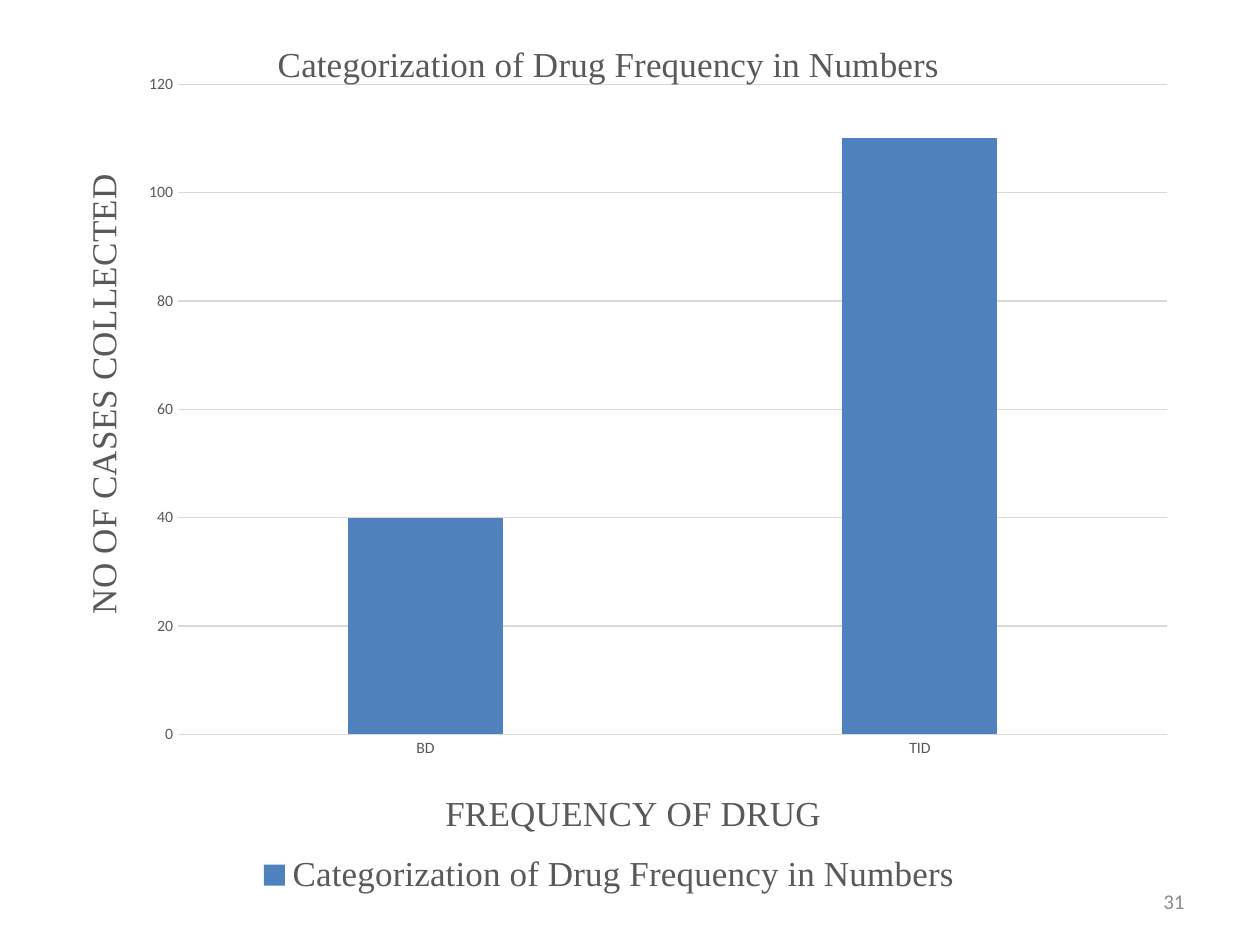
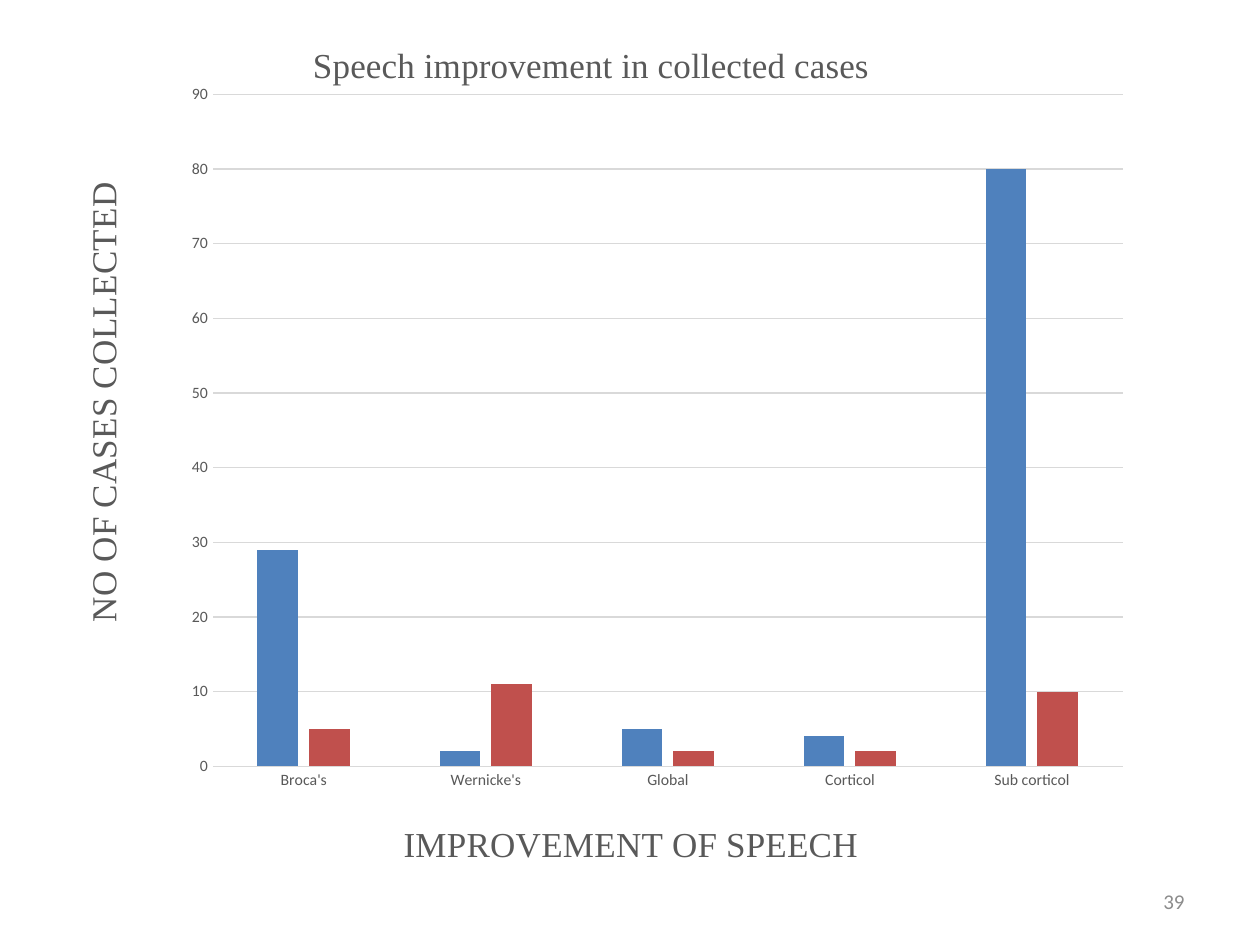
import pptx
import pptx.chart.data
import pptx.dml.color
import pptx.enum.chart
import pptx.enum.text
import pptx.oxml
import pptx.oxml.ns
import pptx.util
from dataclasses import dataclass

Cm, Pt = pptx.util.Cm, pptx.util.Pt
qn = pptx.oxml.ns.qn


@dataclass(frozen=True)
class Theme:
    serif: str = "Times New Roman"
    sans: str = "Calibri"
    text: str = "595959"
    grid: str = "D9D9D9"
    number: str = "8C8C8C"
    series: tuple = ("4F81BD", "C0504D")
    title_size: int = 20
    tick_size: int = 9
    number_size: int = 12


def rgb(value):
    return pptx.dml.color.RGBColor.from_string(value)


def layout_xml(frame, at, inner=False):
    """Manual layout for a place in cm on the slide, as shares of the chart frame."""
    left, top, width, height = frame
    shares = {"x": (at[0] - left) / width, "y": (at[1] - top) / height}
    if inner:
        shares.update(w=at[2] / width, h=at[3] / height)
    target = '<c:layoutTarget val="inner"/>' if inner else ""
    modes = '<c:xMode val="edge"/><c:yMode val="edge"/>'
    values = "".join(f'<c:{k} val="{v:.4f}"/>' for k, v in shares.items())
    return pptx.oxml.parse_xml(
        f"<c:layout {pptx.oxml.ns.nsdecls('c')}><c:manualLayout>"
        f"{target}{modes}{values}</c:manualLayout></c:layout>")


class Deck:
    def __init__(self, theme):
        self.theme = theme
        self.prs = pptx.Presentation()
        self.prs.slide_width, self.prs.slide_height = Cm(25.4), Cm(19.05)
        self.slide = None

    def new_slide(self):
        self.slide = self.prs.slides.add_slide(self.prs.slide_layouts[6])

    def style(self, font, name, size, color):
        font.name, font.size, font.bold = name, Pt(size), False
        font.color.rgb = rgb(color)

    def heading(self, title, text, frame, at, rotated=False):
        """Fill and place a chart title or an axis title."""
        t = self.theme
        tf = title.text_frame
        tf.text = text
        self.style(tf.paragraphs[0].runs[0].font, t.serif, t.title_size, t.text)
        el = title._element
        for old in el.findall(qn("c:layout")):
            el.remove(old)
        el.find(qn("c:tx")).addnext(layout_xml(frame, at))
        if rotated:
            body = next(el.iter(qn("a:bodyPr")))
            body.set("rot", "-5400000")
            body.set("vert", "horz")

    def column_chart(self, frame, plot, cats, series, top, step,
                     title, cat_title, val_title, legend=""):
        """Draw clustered columns; a legend text names the series and shows the legend."""
        t = self.theme
        data = pptx.chart.data.CategoryChartData()
        data.categories = cats
        for values in series:
            data.add_series(legend, values)
        kind = pptx.enum.chart.XL_CHART_TYPE.COLUMN_CLUSTERED
        chart = self.slide.shapes.add_chart(kind, *map(Cm, frame), data).chart
        chart.font.name, chart.font.size = t.sans, Pt(10)

        # Columns
        bars = chart.plots[0]
        bars.gap_width, bars.overlap, bars.vary_by_categories = 219, -27, False
        for s, color in zip(bars.series, t.series):
            s.format.fill.solid()
            s.format.fill.fore_color.rgb = rgb(color)
        area = chart._chartSpace.chart.plotArea
        for old in area.findall(qn("c:layout")):
            area.remove(old)
        area.insert(0, layout_xml(frame, plot, inner=True))

        # Axes
        cat, val = chart.category_axis, chart.value_axis
        for axis in (cat, val):
            axis.major_tick_mark = pptx.enum.chart.XL_TICK_MARK.NONE
            self.style(axis.tick_labels.font, t.sans, t.tick_size, t.text)
        val.minimum_scale, val.maximum_scale, val.major_unit = 0, top, step
        val.format.line.fill.background()
        for line in (cat.format.line, val.major_gridlines.format.line):
            line.color.rgb, line.width = rgb(t.grid), Pt(0.75)

        # Titles and legend
        chart.has_title = True
        self.heading(chart.chart_title, title[0], frame, title[1])
        self.heading(cat.axis_title, cat_title[0], frame, cat_title[1])
        self.heading(val.axis_title, val_title[0], frame, val_title[1], True)
        chart.has_legend = bool(legend)
        if legend:
            chart.legend.position = pptx.enum.chart.XL_LEGEND_POSITION.BOTTOM
            chart.legend.include_in_layout = False
            self.style(chart.legend.font, t.serif, t.title_size, t.text)

    def page_number(self, number):
        t = self.theme
        sp = self.slide.shapes.add_textbox(Cm(18.2), Cm(17.66), Cm(5.93), Cm(1.01))
        tf = sp.text_frame
        tf.word_wrap = True
        tf.vertical_anchor = pptx.enum.text.MSO_ANCHOR.MIDDLE
        tf.text = str(number)
        p = tf.paragraphs[0]
        p.alignment = pptx.enum.text.PP_ALIGN.RIGHT
        self.style(p.runs[0].font, t.sans, t.number_size, t.number)


def main():
    deck = Deck(Theme())
    cases = "NO OF CASES COLLECTED"

    # Drug frequency
    frequency = "Categorization of Drug Frequency in Numbers"
    deck.new_slide()
    deck.column_chart(
        frame=(0.64, 0.2, 23.29, 17.98), plot=(3.59, 1.7, 19.94, 13.11),
        cats=["BD", "TID"], series=[(40, 110)], top=120, step=20,
        title=(frequency, (5.47, 0.71)),
        cat_title=("FREQUENCY OF DRUG", (8.85, 15.81)),
        val_title=(cases, (1.5, 3.38)), legend=frequency)
    deck.page_number(31)

    # Speech improvement
    deck.new_slide()
    deck.column_chart(
        frame=(0.05, 0.3, 23.93, 18.42), plot=(4.29, 1.9, 18.35, 13.55),
        cats=["Broca's", "Wernicke's", "Global", "Corticol", "Sub corticol"],
        series=[(29, 2, 5, 4, 80), (5, 11, 2, 2, 10)], top=90, step=10,
        title=("Speech improvement in collected cases", (6.18, 0.73)),
        cat_title=("IMPROVEMENT OF SPEECH", (8.01, 16.45)),
        val_title=(cases, (1.5, 3.55)))
    deck.page_number(39)

    deck.prs.save("out.pptx")


if __name__ == "__main__":
    main()
